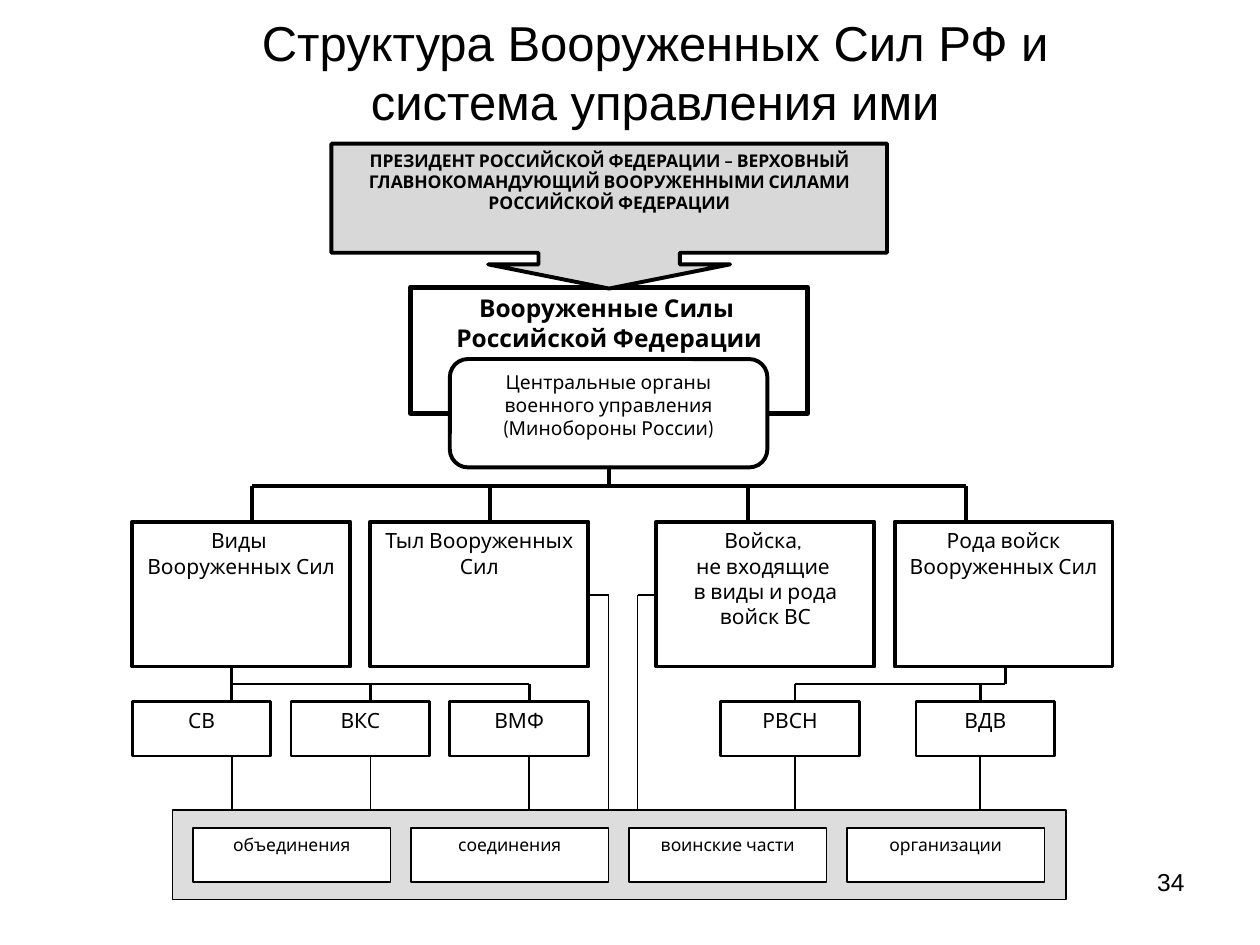
from dataclasses import dataclass

from lxml.etree import SubElement
from pptx import Presentation
from pptx.dml.color import RGBColor
from pptx.enum.shapes import MSO_CONNECTOR as Connector, MSO_SHAPE as Shape
from pptx.enum.text import MSO_ANCHOR as Anchor, MSO_AUTO_SIZE as AutoSize, PP_ALIGN as Align
from pptx.oxml.ns import qn
from pptx.util import Inches, Pt


@dataclass(frozen=True)
class Theme:
    ink: RGBColor = RGBColor(0, 0, 0)
    paper: RGBColor = RGBColor(255, 255, 255)
    command: RGBColor = RGBColor(0xD8, 0xD8, 0xD8)
    panel: RGBColor = RGBColor(0xDD, 0xDD, 0xDD)
    heading_font: str = "Arial"
    body_font: str = "Cabin"
    title: int = 28
    heading: int = 14
    branch: int = 12
    organ: int = 11
    small: int = 10
    heavy: float = 3
    thick: float = 2.25
    medium: float = 1.5
    thin: float = 1


T = Theme()


@dataclass(frozen=True)
class Box:
    text: str
    x: float
    y: float
    w: float
    h: float
    size: int = T.branch
    line: float = T.thick
    bold: bool = False
    fill: RGBColor = T.paper
    kind: Shape = Shape.RECTANGLE
    adj: tuple[float, ...] = ()


@dataclass(frozen=True)
class Link:
    x1: float
    y1: float
    x2: float
    y2: float
    width: float = T.thin


def write(tf, text: str, size: int, font: str, align: Align = Align.CENTER,
          bold: bool = False) -> None:
    tf.text = text
    tf.word_wrap = True
    tf.auto_size = AutoSize.NONE
    tf.vertical_anchor = Anchor.TOP
    for p in tf.paragraphs:
        p.alignment = align
        for r in p.runs:
            r.font.name, r.font.size, r.font.bold = font, Pt(size), bold
            r.font.color.rgb = T.ink


def draw_box(s, box: Box) -> None:
    sp = s.shapes.add_shape(box.kind, Inches(box.x), Inches(box.y),
                            Inches(box.w), Inches(box.h))
    sp.shadow.inherit = False
    for i, value in enumerate(box.adj):
        sp.adjustments[i] = value
    sp.fill.solid()
    sp.fill.fore_color.rgb = box.fill
    sp.line.color.rgb = T.ink
    sp.line.width = Pt(box.line)
    if box.text:
        write(sp.text_frame, box.text, box.size, T.body_font, bold=box.bold)


def draw_link(s, link: Link) -> None:
    c = s.shapes.add_connector(Connector.STRAIGHT, Inches(link.x1), Inches(link.y1),
                               Inches(link.x2), Inches(link.y2))
    c.line.color.rgb = T.ink
    c.line.width = Pt(link.width)
    SubElement(c._element.spPr, qn("a:effectLst"))


# Levels of the chart
BUS_Y, BRANCH_Y, BRANCH_END = 3.86, 4.14, 5.29
SIDE_Y, SUB_BUS_Y, SERVICE_Y, SERVICE_END = 4.72, 5.43, 5.57, 6.0
PANEL_Y, UNIT_Y = 6.43, 6.57
CENTER_X = 4.83

# Supreme command and the central bodies
COMMAND = [
    Box("Вооруженные Силы \nРоссийской Федерации", 3.26, 2.28, 3.15, 1,
        T.heading, T.heavy, bold=True),
    Box("Центральные органы военного управления (Минобороны России)",
        3.57, 2.85, 2.52, 0.86, T.organ, kind=Shape.ROUNDED_RECTANGLE, adj=(0.167,)),
    Box("ПРЕЗИДЕНТ РОССИЙСКОЙ ФЕДЕРАЦИИ – ВЕРХОВНЫЙ ГЛАВНОКОМАНДУЮЩИЙ "
        "ВООРУЖЕННЫМИ СИЛАМИ РОССИЙСКОЙ ФЕДЕРАЦИИ",
        2.63, 1.14, 4.41, 1.15, T.small, bold=True, fill=T.command,
        kind=Shape.DOWN_ARROW_CALLOUT, adj=(0.975, 0.835, 0.167, 0.753)),
]

# Main branches: left edge and text
BRANCHES = [
    Box(text, x, BRANCH_Y, 1.73, BRANCH_END - BRANCH_Y)
    for x, text in [
        (1.05, "Виды \nВооруженных Сил"),
        (2.94, "Тыл Вооруженных Сил"),
        (5.21, "Войска, \nне входящие \nв виды и рода войск ВС"),
        (7.1, "Рода войск Вооруженных Сил"),
    ]
]

# Services and arms: left edge and text
SERVICES = [
    Box(text, x, SERVICE_Y, 1.1, SERVICE_END - SERVICE_Y, line=T.medium)
    for x, text in [(1.05, "СВ"), (2.31, "ВКС"), (3.57, "ВМФ"), (5.72, "РВСН"), (7.27, "ВДВ")]
]

# Shared panel with evenly spaced kinds of units
PANEL = Box("", 1.37, PANEL_Y, 7.09, 0.71, line=T.thin, fill=T.panel)
UNITS = [
    Box(text, 1.53 + 1.73 * i, UNIT_Y, 1.57, 0.43, T.small, T.thin)
    for i, text in enumerate(["объединения", "соединения", "воинские части", "организации"])
]

# Connecting lines
BRANCH_DROPS = [2, 3.89, 5.94, 7.67]
SERVICE_DROPS = [1.84, 2.94, 4.2, 6.31, 7.78]
LINKS = [
    Link(CENTER_X, 3.71, CENTER_X, BUS_Y, T.thick),
    Link(BRANCH_DROPS[0], BUS_Y, BRANCH_DROPS[-1], BUS_Y, T.thick),
    *[Link(x, BUS_Y, x, BRANCH_Y, T.thick) for x in BRANCH_DROPS],
    Link(1.84, BRANCH_END, 1.84, SUB_BUS_Y, T.medium),
    Link(1.84, SUB_BUS_Y, 4.2, SUB_BUS_Y),
    Link(7.98, BRANCH_END, 7.98, SUB_BUS_Y, T.medium),
    Link(6.31, SUB_BUS_Y, 7.98, SUB_BUS_Y, T.medium),
    *[Link(x, SUB_BUS_Y, x, SERVICE_Y, T.medium) for x in SERVICE_DROPS],
    *[Link(x, SERVICE_END, x, PANEL_Y) for x in SERVICE_DROPS],
    Link(4.68, SIDE_Y, CENTER_X, SIDE_Y),
    Link(CENTER_X, SIDE_Y, CENTER_X, PANEL_Y),
    Link(5.06, SIDE_Y, 5.21, SIDE_Y),
    Link(5.06, SIDE_Y, 5.06, PANEL_Y),
]


def main() -> None:
    prs = Presentation()
    prs.slide_width, prs.slide_height = Inches(10), Inches(7.5)
    s = prs.slides.add_slide(prs.slide_layouts[5])

    # Title
    title = s.shapes.title
    title.left, title.top = Inches(1.46), Inches(0.05)
    title.width, title.height = Inches(7.48), Inches(1.04)
    write(title.text_frame, "Структура Вооруженных Сил РФ и система управления ими",
          T.title, T.heading_font)

    # Chart
    for box in [*COMMAND, *BRANCHES, PANEL, *UNITS, *SERVICES]:
        draw_box(s, box)
    for link in LINKS:
        draw_link(s, link)

    # Page number
    number = s.shapes.add_textbox(Inches(7.17), Inches(6.83), Inches(2.33), Inches(0.52))
    write(number.text_frame, "34", T.heading, T.heading_font, Align.RIGHT)

    prs.save("out.pptx")


if __name__ == "__main__":
    main()
